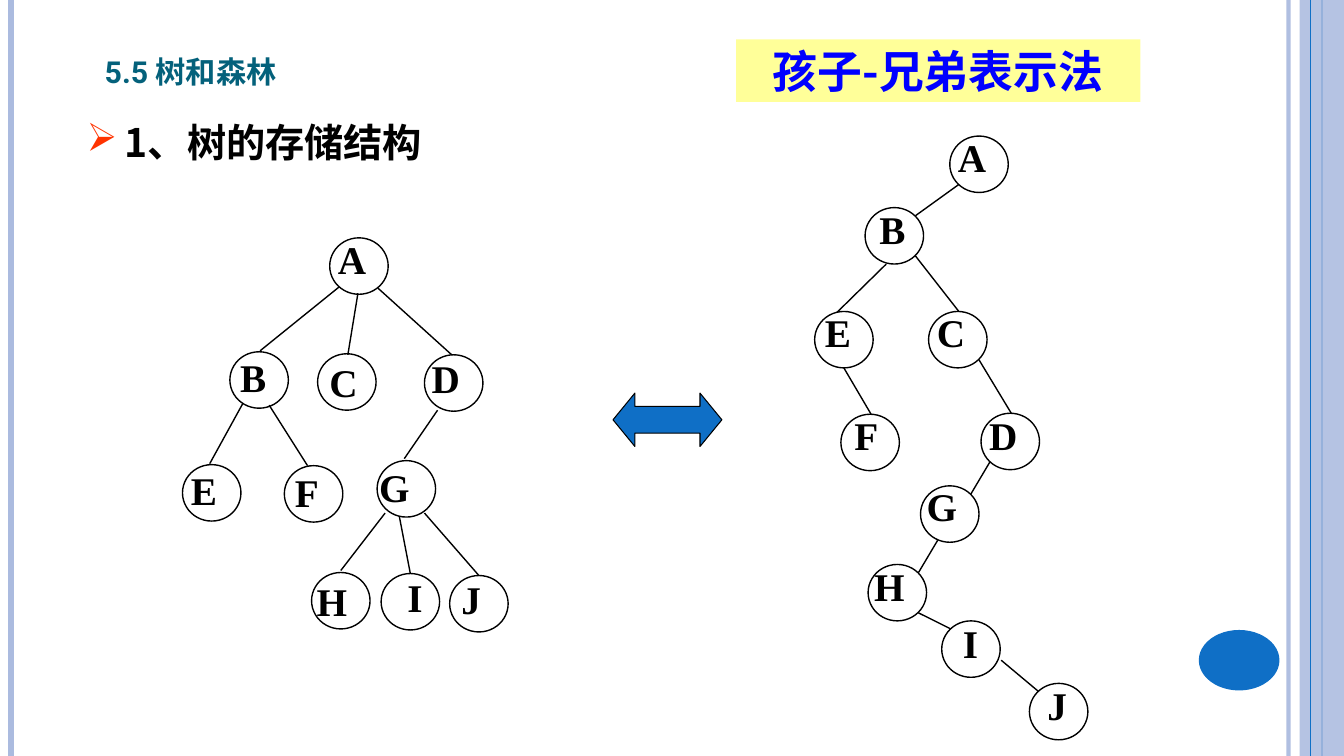
import pptx
import pptx.dml.color
import pptx.enum.shapes
import pptx.enum.text
import pptx.oxml
import pptx.oxml.ns
import pptx.util
from dataclasses import dataclass

Inches = pptx.util.Inches
Pt = pptx.util.Pt
Shape = pptx.enum.shapes.MSO_SHAPE
Align = pptx.enum.text.PP_ALIGN
Anchor = pptx.enum.text.MSO_ANCHOR
NAMESPACE = pptx.oxml.ns.nsdecls("a")


@dataclass(frozen=True)
class Theme:
    pale: str = "ABBBDF"
    blue: str = "0F6FC6"
    teal: str = "04617B"
    yellow: str = "FFFF99"
    caption: str = "0000FF"
    bullet: str = "FF3300"
    black: str = "000000"
    title_font: str = "Roboto"
    chinese_font: str = "Noto Sans CJK SC"
    node_font: str = "Times New Roman"
    title_size: float = 27
    heading_size: float = 28
    caption_size: float = 32
    node_size: float = 28


THEME = Theme()
NODE_WIDTH, NODE_HEIGHT, LABEL_HEIGHT = 0.58, 0.56, 0.57
LABEL_WIDTHS = dict(A=0.48, B=0.46, C=0.48, D=0.48, E=0.46,
                    F=0.44, G=0.5, H=0.5, I=0.35, J=0.4)

# Node: left, top, then label offset (None puts the letter inside the circle).
FAMILY_NODES = {
    "A": (1.47, 0.06, (-0.02, -0.07)),
    "B": (0.48, 1.19, (0, -0.03)),
    "C": (1.35, 1.21, None),
    "D": (2.41, 1.22, (-0.03, -0.05)),
    "E": (0.01, 2.31, (-0.02, -0.03)),
    "F": (1.02, 2.32, (0, -0.02)),
    "G": (1.94, 2.27, (-0.08, -0.02)),
    "H": (1.29, 3.38, (-0.05, 0)),
    "I": (1.98, 3.39, (0.16, -0.05)),
    "J": (2.66, 3.41, (0.01, -0.05)),
}
FAMILY_EDGES = {
    "AB": (1.56, 0.55, 0.78, 1.18),
    "AC": (1.75, 0.61, 1.65, 1.22),
    "AD": (1.95, 0.56, 2.68, 1.22),
    "BE": (0.61, 1.7, 0.28, 2.3),
    "BF": (0.87, 1.72, 1.25, 2.32),
    "DG": (2.54, 1.77, 2.21, 2.25),
    "GH": (2.02, 2.79, 1.58, 3.36),
    "GI": (2.16, 2.82, 2.27, 3.39),
    "GJ": (2.41, 2.79, 2.95, 3.41),
}
BINARY_NODES = {
    "A": (1.42, 0.05, (-0.02, -0.08)),
    "B": (0.58, 0.76, (0.04, -0.07)),
    "C": (1.21, 1.79, (-0.02, -0.08)),
    "D": (1.73, 2.8, (-0.02, -0.07)),
    "E": (0.08, 1.79, (0, -0.08)),
    "F": (0.34, 2.81, (0.03, -0.08)),
    "G": (1.13, 3.52, (-0.04, -0.08)),
    "H": (0.61, 4.3, (-0.04, -0.07)),
    "I": (1.34, 4.86, (0.11, -0.07)),
    "J": (2.21, 5.48, (0.07, -0.07)),
}
BINARY_EDGES = {
    "AB": (1.51, 0.53, 1.08, 0.84),
    "BE": (0.79, 1.32, 0.3, 1.8),
    "BC": (1.08, 1.24, 1.51, 1.79),
    "EF": (0.37, 2.35, 0.64, 2.81),
    "CD": (1.71, 2.27, 2.03, 2.8),
    "DG": (1.82, 3.28, 1.63, 3.6),
    "GH": (1.3, 4.06, 1.11, 4.38),
    "HI": (1.11, 4.78, 1.43, 4.94),
    "IJ": (1.93, 5.25, 2.3, 5.56),
}


def rgb(color):
    return pptx.dml.color.RGBColor.from_string(color)


def set_alpha(item, percent):
    """Make the first solid colour of a shape or line partly transparent."""
    color = item._element.spPr.find(".//" + pptx.oxml.ns.qn("a:srgbClr"))
    color.append(pptx.oxml.parse_xml(f'<a:alpha {NAMESPACE} val="{percent * 1000}"/>'))


def add_line(shapes, start, end, color, width):
    line = shapes.add_connector(pptx.enum.shapes.MSO_CONNECTOR.STRAIGHT,
                                *(Inches(value) for value in (*start, *end)))
    line.line.color.rgb = rgb(color)
    line.line.width = Pt(width)
    line._element.spPr.append(pptx.oxml.parse_xml(f"<a:effectLst {NAMESPACE}/>"))
    return line


def add_shape(shapes, kind, box, fill=None, outline=None, width=1):
    shape = shapes.add_shape(kind, *(Inches(value) for value in box))
    shape.shadow.inherit = False
    if fill:
        shape.fill.solid()
        shape.fill.fore_color.rgb = rgb(fill)
    else:
        shape.fill.background()
    if outline:
        shape.line.color.rgb = rgb(outline)
        shape.line.width = Pt(width)
    else:
        shape.line.fill.background()
    return shape


def write(shape, text, font, size, color, align=Align.LEFT, anchor=Anchor.TOP, wrap=True):
    """Put one bold line in a shape and return its paragraph and span."""
    frame = shape.text_frame
    frame.word_wrap = wrap
    frame.vertical_anchor = anchor
    para = frame.paragraphs[0]
    para.alignment = align
    span = para.add_run()
    span.text = text
    span.font.name = font
    span.font.size = Pt(size)
    span.font.bold = True
    span.font.color.rgb = rgb(color)
    span.font._element.append(
        pptx.oxml.parse_xml(f'<a:ea {NAMESPACE} typeface="{font}"/>'))
    return para, span


def add_text_box(shapes, box):
    return shapes.add_textbox(*(Inches(value) for value in box))


def draw_frame(page, width, height):
    """Vertical bands along both edges and the page-number disc."""
    def rule(x, color, weight):
        return add_line(page.shapes, (x, 0), (x, height), color, weight)

    set_alpha(rule(width - 0.55, THEME.pale, 3), 93)
    rule(0.11, THEME.pale, 4.5)
    rule(width - 0.22, THEME.blue, 1.5)
    band = add_shape(page.shapes, Shape.RECTANGLE, (width - 0.44, 0, 0.44, height), THEME.pale)
    set_alpha(band, 87)
    rule(width - 0.33, THEME.blue, 0.75)
    add_shape(page.shapes, Shape.OVAL, (width - 1.44, height - 1.25, 0.8, 0.6), THEME.blue)


def draw_headings(page, left, top):
    title = add_text_box(page.shapes, (left + 0.18, top, 2.93, 0.61))
    _, span = write(title, "5.5 树和森林", THEME.title_font, THEME.title_size,
                    THEME.teal, anchor=Anchor.BOTTOM)
    span.font._element.set("cap", "small")

    heading = add_text_box(page.shapes, (left, top + 0.67, 11.72, 1.21))
    para, _ = write(heading, "1、树的存储结构", THEME.chinese_font,
                    THEME.heading_size, THEME.black)
    para.line_spacing = 1.25
    properties = para._p.get_or_add_pPr()
    properties.set("marL", str(Inches(0.38)))
    properties.set("indent", str(-Inches(0.38)))
    for bullet in (f'<a:buClr {NAMESPACE}><a:srgbClr val="{THEME.bullet}"/></a:buClr>',
                   f'<a:buChar {NAMESPACE} char="➢"/>'):
        properties.append(pptx.oxml.parse_xml(bullet))

    caption = add_shape(page.shapes, Shape.RECTANGLE,
                        (left + 6.54, top + 0.05, 4.01, 0.62), THEME.yellow)
    write(caption, "孩子-兄弟表示法", THEME.chinese_font, THEME.caption_size,
          THEME.caption, Align.CENTER, Anchor.MIDDLE)


def draw_tree(page, left, top, nodes, edges):
    tree = page.shapes.add_group_shape().shapes
    for letter, (x, y, offset) in nodes.items():
        x, y = left + x, top + y
        holder = add_shape(tree, Shape.OVAL, (x, y, NODE_WIDTH, NODE_HEIGHT),
                           outline=THEME.black)
        anchor = Anchor.MIDDLE
        if offset:
            holder = add_text_box(tree, (x + offset[0], y + offset[1],
                                         LABEL_WIDTHS[letter], LABEL_HEIGHT))
            holder.text_frame.auto_size = pptx.enum.text.MSO_AUTO_SIZE.SHAPE_TO_FIT_TEXT
            anchor = Anchor.TOP
        write(holder, letter, THEME.node_font, THEME.node_size, THEME.black,
              Align.RIGHT, anchor, wrap=False)
    for x1, y1, x2, y2 in edges.values():
        add_line(tree, (left + x1, top + y1), (left + x2, top + y2), THEME.black, 1)


def draw_equivalence_arrow(page, box):
    arrow = add_shape(page.shapes, Shape.LEFT_RIGHT_ARROW, box, THEME.blue, THEME.black, 0.75)
    arrow.adjustments[0] = 0.5
    arrow.adjustments[1] = 0.41


def main():
    deck = pptx.Presentation()
    width, height = 13.33, 7.5
    deck.slide_width, deck.slide_height = Inches(width), Inches(height)
    page = deck.slides.add_slide(deck.slide_layouts[6])
    draw_frame(page, width, height)
    draw_headings(page, 0.76, 0.34)
    draw_tree(page, 1.8, 2.3, FAMILY_NODES, FAMILY_EDGES)
    draw_equivalence_arrow(page, (6.08, 3.9, 1.08, 0.53))
    draw_tree(page, 8, 1.3, BINARY_NODES, BINARY_EDGES)
    deck.save("out.pptx")


if __name__ == "__main__":
    main()
